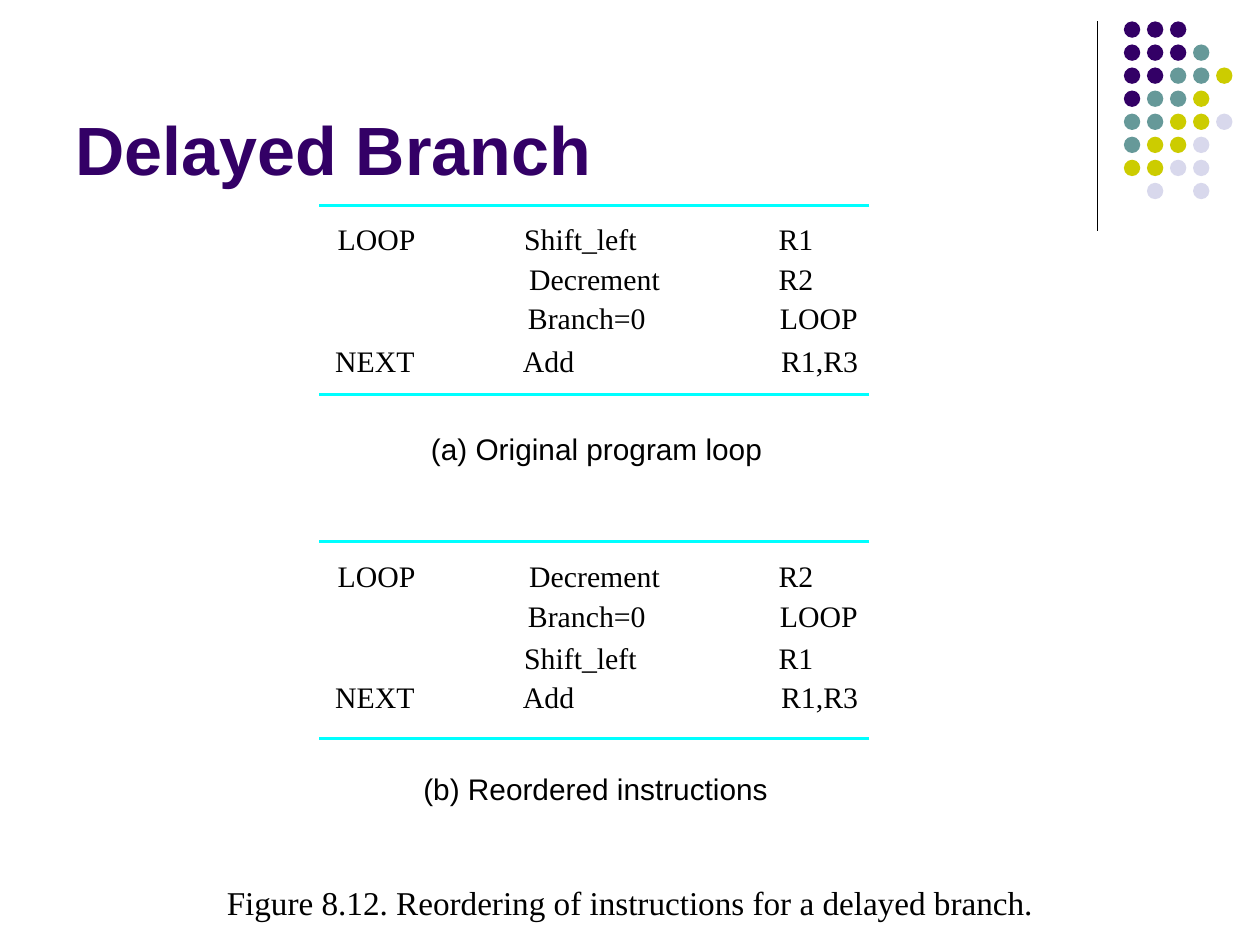
from dataclasses import dataclass
from typing import NamedTuple

from lxml.etree import SubElement
from pptx import Presentation
from pptx.dml.color import RGBColor
from pptx.enum.shapes import MSO_CONNECTOR, MSO_SHAPE
from pptx.enum.text import MSO_ANCHOR, MSO_AUTO_SIZE
from pptx.oxml.ns import qn
from pptx.slide import Slide
from pptx.text.text import TextFrame
from pptx.util import Inches, Pt

COLS, ROWS = 1000, 750
WIDE, HIGH = Inches(10), Inches(7.5)


@dataclass(frozen=True)
class Theme:
    ink: str = "000000"
    rule: str = "00FFFF"
    plum: str = "330066"
    teal: str = "669999"
    lime: str = "CCCC00"
    mist: str = "D8D8EC"
    sans: str = "Arial"
    serif: str = "Times New Roman"
    title: int = 39
    body: int = 17
    note: int = 19
    thin: float = 0.75
    thick: float = 1.87


class Box(NamedTuple):
    col: float
    row: float
    wide: float
    high: float


class Word(NamedTuple):
    text: str
    col: float
    wide: float


class Panel(NamedTuple):
    rules: tuple[float, float]
    rows: tuple[float, ...]
    code: tuple[tuple[Word, ...], ...]
    label: str
    box: Box


THEME = Theme()
LOOP = Word("LOOP", 268, 63)
NEXT = Word("NEXT", 266, 65)
SHIFT = (Word("Shift_left", 416, 91), Word("R1", 618, 29))
DROP = (Word("Decrement", 420, 105), Word("R2", 618, 29))
BRANCH = (Word("Branch=0", 419, 95), Word("LOOP", 619, 63))
ADD = (Word("Add", 415, 42), Word("R1,R3", 620, 63))

PANELS = (
    Panel((163, 313), (175, 207, 238, 272),
          ((LOOP, *SHIFT), DROP, BRANCH, (NEXT, *ADD)),
          "(a) Original program loop", Box(342, 342, 265, 28)),
    Panel((430, 586), (443, 474, 508, 539),
          ((LOOP, *DROP), BRANCH, SHIFT, (NEXT, *ADD)),
          "(b) Reordered instructions", Box(336, 612, 276, 28)),
)

DOTS = ("PPP", "PPPT", "PPTTL", "PTTL", "TTLLM", "TLLM", "LLMM", " M M")
FILLS = {"P": THEME.plum, "T": THEME.teal, "L": THEME.lime, "M": THEME.mist}


def across(col: float) -> int:
    return round(WIDE * col / COLS)


def down(row: float) -> int:
    return round(HIGH * row / ROWS)


def place(box: Box) -> tuple[int, int, int, int]:
    return across(box.col), down(box.row), across(box.wide), down(box.high)


def line(slide: Slide, start: tuple[float, float], end: tuple[float, float],
         color: str, width: float) -> None:
    stroke = slide.shapes.add_connector(
        MSO_CONNECTOR.STRAIGHT, across(start[0]), down(start[1]),
        across(end[0]), down(end[1]))
    stroke.line.color.rgb = RGBColor.from_string(color)
    stroke.line.width = Pt(width)
    SubElement(stroke._element.spPr, qn("a:effectLst"))


def style(frame: TextFrame, text: str, face: str, size: int, color: str,
          bold: bool = False) -> None:
    frame.text = text
    font = frame.paragraphs[0].font
    font.name, font.size, font.bold = face, Pt(size), bold
    font.color.rgb = RGBColor.from_string(color)


def write(slide: Slide, text: str, box: Box, face: str, size: int) -> None:
    frame = slide.shapes.add_textbox(*place(box)).text_frame
    frame.margin_left = frame.margin_right = 0
    frame.margin_top = frame.margin_bottom = 0
    frame.word_wrap = False
    frame.auto_size = MSO_AUTO_SIZE.SHAPE_TO_FIT_TEXT
    style(frame, text, face, size, THEME.ink)


def head(slide: Slide, text: str) -> None:
    frame = slide.shapes.add_textbox(*place(Box(50, 13, 825, 142))).text_frame
    frame.word_wrap = True
    frame.vertical_anchor = MSO_ANCHOR.BOTTOM
    style(frame, text, THEME.sans, THEME.title, THEME.plum, True)


def dots(slide: Slide, left: float, top: float, pitch: float,
         size: float) -> None:
    for row, marks in enumerate(DOTS):
        for col, mark in enumerate(marks):
            if mark not in FILLS:
                continue
            box = Box(left + col * pitch, top + row * pitch, size, size)
            dot = slide.shapes.add_shape(MSO_SHAPE.OVAL, *place(box))
            dot.shadow.inherit = False
            dot.fill.solid()
            dot.fill.fore_color.rgb = RGBColor.from_string(FILLS[mark])
            dot.line.fill.background()


def panel(slide: Slide, part: Panel) -> None:
    for row in part.rules:
        line(slide, (690, row), (253, row), THEME.rule, THEME.thick)
    for row, words in zip(part.rows, part.code):
        for word in words:
            box = Box(word.col, row, word.wide, 28)
            write(slide, word.text, box, THEME.serif, THEME.body)
    write(slide, part.label, part.box, THEME.sans, THEME.body)


def main() -> None:
    deck = Presentation()
    deck.slide_width, deck.slide_height = WIDE, HIGH
    slide = deck.slides.add_slide(deck.slide_layouts[6])
    line(slide, (871, 17), (871, 183), THEME.ink, THEME.thin)
    dots(slide, 892, 17, 18.3, 13)
    head(slide, "Delayed Branch")
    for part in PANELS:
        panel(slide, part)
    write(slide, "Figure 8.12. Reordering of instructions for a delayed branch.",
          Box(180, 700, 640, 32), THEME.serif, THEME.note)
    deck.save("out.pptx")


if __name__ == "__main__":
    main()
